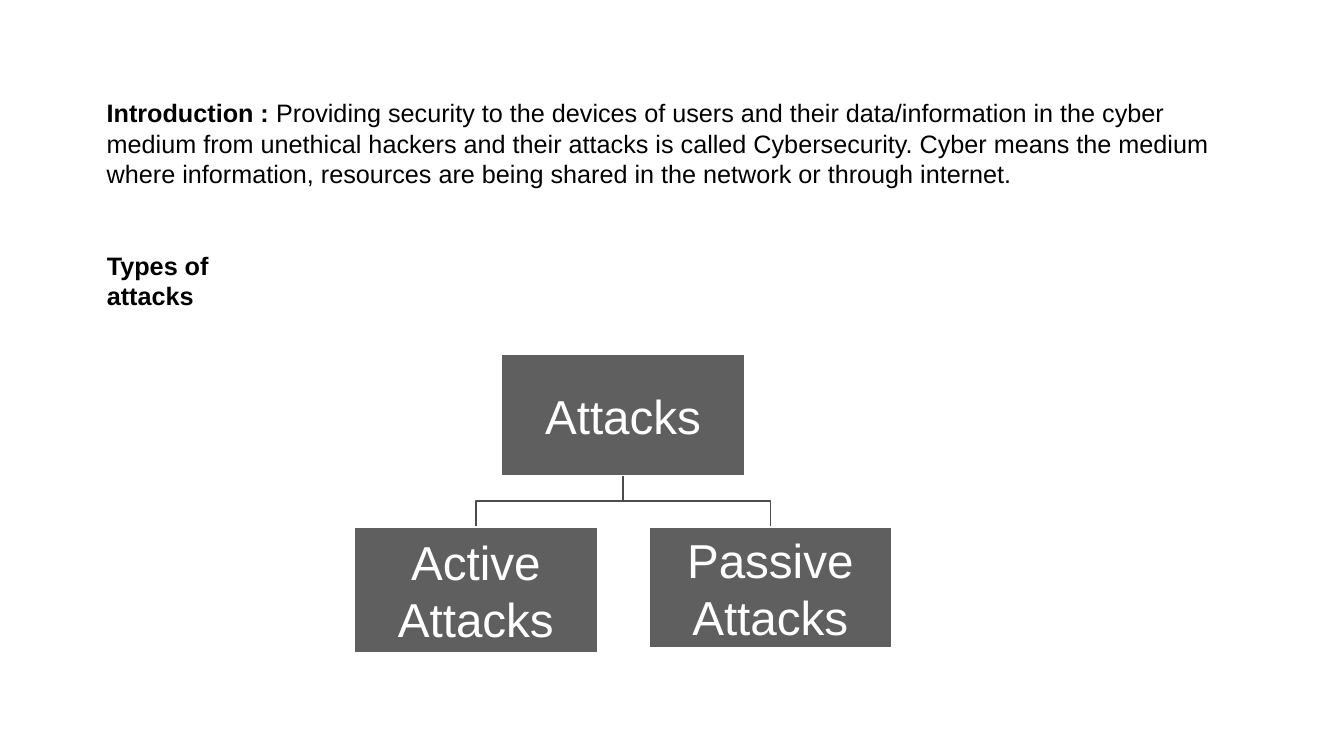
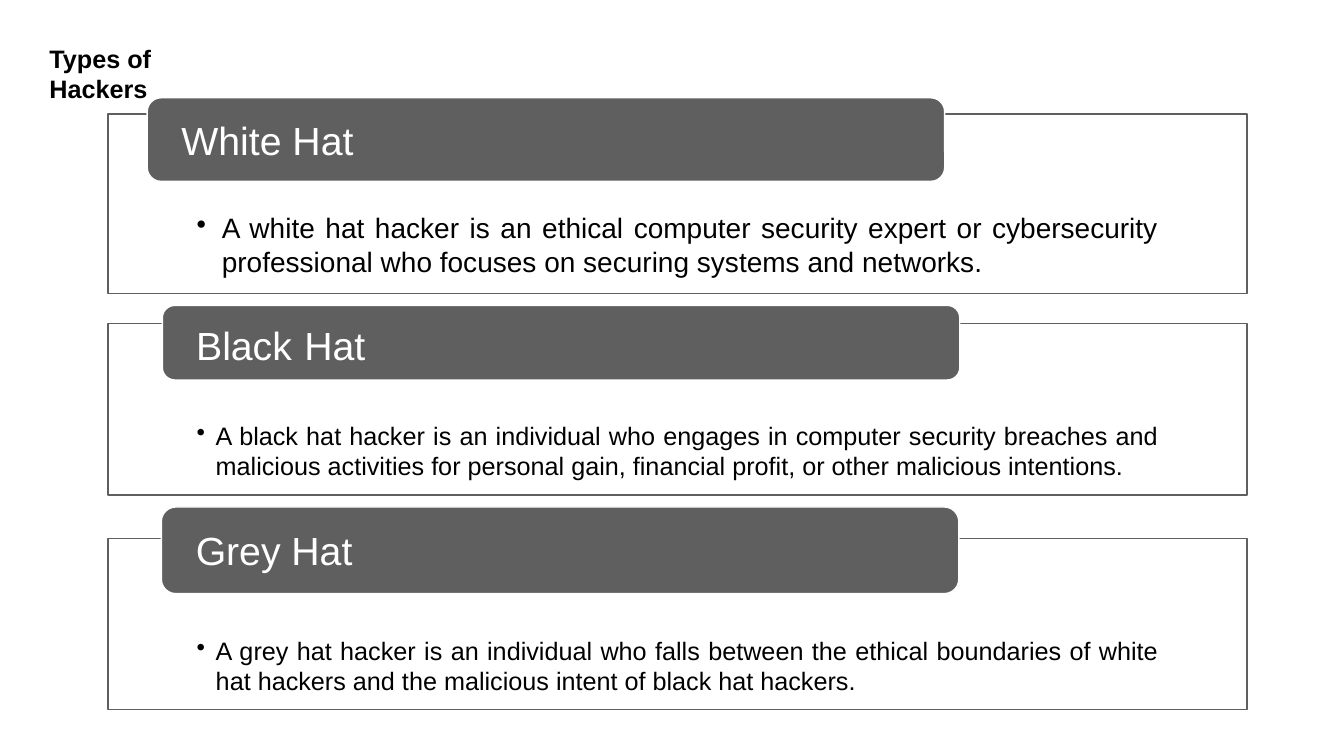
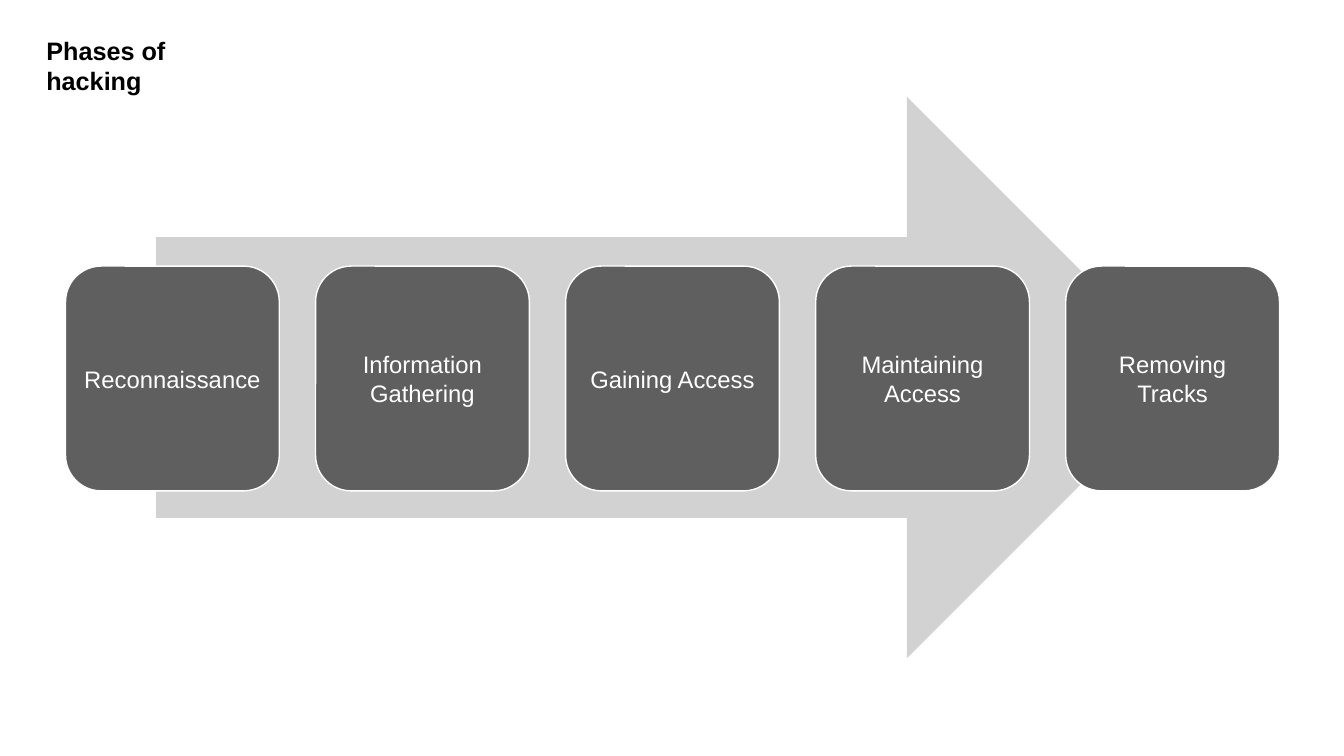
from pptx import Presentation
from pptx import util as u
from pptx.dml.color import RGBColor
from pptx.enum import shapes, text
from pptx.oxml.ns import qn
from lxml import etree

# Shared look
FONT = "Arial"
DARK, WIRE, PALE = "5F5F5F", "4C4C4C", "D2D2D2"
WHITE, BLACK = "FFFFFF", "000000"
LEFT, MID = text.PP_ALIGN.LEFT, text.PP_ALIGN.CENTER
FULL = text.PP_ALIGN.JUSTIFY
TOP, HALF = text.MSO_ANCHOR.TOP, text.MSO_ANCHOR.MIDDLE
RECT, ROUND = shapes.MSO_SHAPE.RECTANGLE, shapes.MSO_SHAPE.ROUNDED_RECTANGLE
ARROW = shapes.MSO_SHAPE.RIGHT_ARROW
PAD = (0.1, 0.05, 0.1, 0.05)


def hue(code):
    return RGBColor.from_string(code)


def write(shape, *runs, size=18, color=BLACK, bold=False, align=LEFT,
          anchor=TOP, pad=PAD, hang=0):
    """Fill a shape with one paragraph; a run is text or (text, changes)."""
    frame = shape.text_frame
    frame.word_wrap = True
    frame.auto_size = text.MSO_AUTO_SIZE.NONE
    frame.vertical_anchor = anchor
    (frame.margin_left, frame.margin_top,
     frame.margin_right, frame.margin_bottom) = map(u.Inches, pad)
    para = frame.paragraphs[0]
    para.alignment = align
    for item in runs:
        words, diff = (item, {}) if isinstance(item, str) else item
        run = para.add_run()
        run.text = words
        font = run.font
        font.name = FONT
        font.size = u.Pt(diff.get("size", size))
        font.bold = diff.get("bold", bold)
        font.color.rgb = hue(color)
    if hang:
        props = para._p.get_or_add_pPr()
        props.set("marL", str(u.Inches(hang)))
        props.set("indent", str(-u.Inches(hang)))
        etree.SubElement(props, qn("a:buChar")).set("char", "•")


def block(slide, kind, box, fill=DARK, line=WHITE, alpha=None):
    shape = slide.shapes.add_shape(kind, *map(u.Inches, box))
    shape.shadow.inherit = False
    shape.fill.solid()
    shape.fill.fore_color.rgb = hue(fill)
    if alpha:
        tint = shape._element.spPr.find(qn("a:solidFill"))[0]
        etree.SubElement(tint, qn("a:alpha")).set("val", str(alpha * 1000))
    if line:
        shape.line.color.rgb = hue(line)
        shape.line.width = u.Pt(1)
    else:
        shape.line.fill.background()
    return shape


def wire(slide, *spots):
    """Draw an open bent line through the given points."""
    (x, y), *rest = [tuple(map(u.Inches, spot)) for spot in spots]
    path = slide.shapes.build_freeform(x, y)
    path.add_line_segments(rest, close=False)
    shape = path.convert_to_shape()
    shape.shadow.inherit = False
    shape.fill.background()
    shape.line.color.rgb = hue(WIRE)
    shape.line.width = u.Pt(1)


def page(deck, title, x, y, wide):
    """Add a slide with its small bold heading."""
    slide = deck.slides.add_slide(deck.slide_layouts[5])
    head = slide.shapes.title
    head.left, head.top, head.width, head.height = map(
        u.Inches, (x, y, wide, 0.7))
    write(head, title, bold=True)
    return slide


def attacks(deck):
    slide = page(deck, "Types of attacks", 0.96, 2.43, 1.87)
    intro = slide.shapes.add_textbox(
        *map(u.Inches, (0.96, 0.92, 11.41, 1.01)))
    write(intro, ("Introduction : ", {"bold": True}),
          "Providing security to the devices of users and their "
          "data/information in the cyber medium from unethical hackers and "
          "their attacks is called Cybersecurity. Cyber means the medium "
          "where information, resources are being shared in the network or "
          "through internet.")
    # Tree: root, two branches
    wide, root, low, step = 2.41, 6.18, 5.23, 1.46
    for x in (root - step, root + step):
        wire(slide, (root, 4.72), (root, 4.97), (x, 4.97), (x, low))
    nodes = (("Attacks", root, 3.52, 1.2),
             ("Active Attacks", root - step, low, 1.25),
             ("Passive Attacks", root + step, low, 1.2))
    for name, x, y, high in nodes:
        node = block(slide, RECT, (x - wide / 2, y, wide, high))
        write(node, name, size=34, color=WHITE, align=MID, anchor=HALF,
              pad=(0.02,) * 4)


def hackers(deck):
    slide = page(deck, "Types of Hackers", 0.39, 0.38, 1.95)
    # Tab text, tab left, top, height; frame top, height; size, hang, words
    rows = (
        (["White Hat"], 1.46, 0.97, 0.83, 1.13, 1.78, 20, 0.25,
         "A white hat hacker is an ethical computer security expert or "
         "cybersecurity professional who focuses on securing systems and "
         "networks."),
        (["Black", (" ", {"size": 32}), "Hat"], 1.61, 3.03, 0.74, 3.21, 1.7,
         18, 0.19,
         "A black hat hacker is an individual who engages in computer "
         "security breaches and malicious activities for personal gain, "
         "financial profit, or other malicious intentions. "),
        (["Grey Hat"], 1.6, 5.03, 0.86, 5.34, 1.7, 18, 0.19,
         "A grey hat hacker is an individual who falls between the ethical "
         "boundaries of white hat hackers and the malicious intent of black "
         "hat hackers."),
    )
    for name, x, y, high, top, tall, size, hang, words in rows:
        frame = block(slide, RECT, (1.07, top, 11.3, tall), WHITE, DARK, 90)
        write(frame, words, size=size, align=FULL, hang=hang,
              pad=(0.88, 0.96, 0.88, 0.14))
        tab = block(slide, ROUND, (x, y, 7.91, high))
        write(tab, *name, size=28, color=WHITE, anchor=HALF,
              pad=(0.3, 0, 0.3, 0))


def phases(deck):
    slide = page(deck, "Phases of hacking", 0.36, 0.3, 2.05)
    block(slide, ARROW, (1.55, 0.96, 10.23, 5.57), PALE, None)
    steps = ("Reconnaissance", "Information Gathering", "Gaining Access",
             "Maintaining Access", "Removing Tracks")
    for i, name in enumerate(steps):
        card = block(slide, ROUND, (0.65 + 2.48 * i, 2.64, 2.12, 2.23))
        write(card, name, size=17, color=WHITE, align=MID, anchor=HALF,
              pad=(0.07,) * 4)


def main():
    deck = Presentation()
    deck.slide_width, deck.slide_height = u.Inches(13.33), u.Inches(7.5)
    attacks(deck)
    hackers(deck)
    phases(deck)
    deck.save("out.pptx")


if __name__ == "__main__":
    main()
